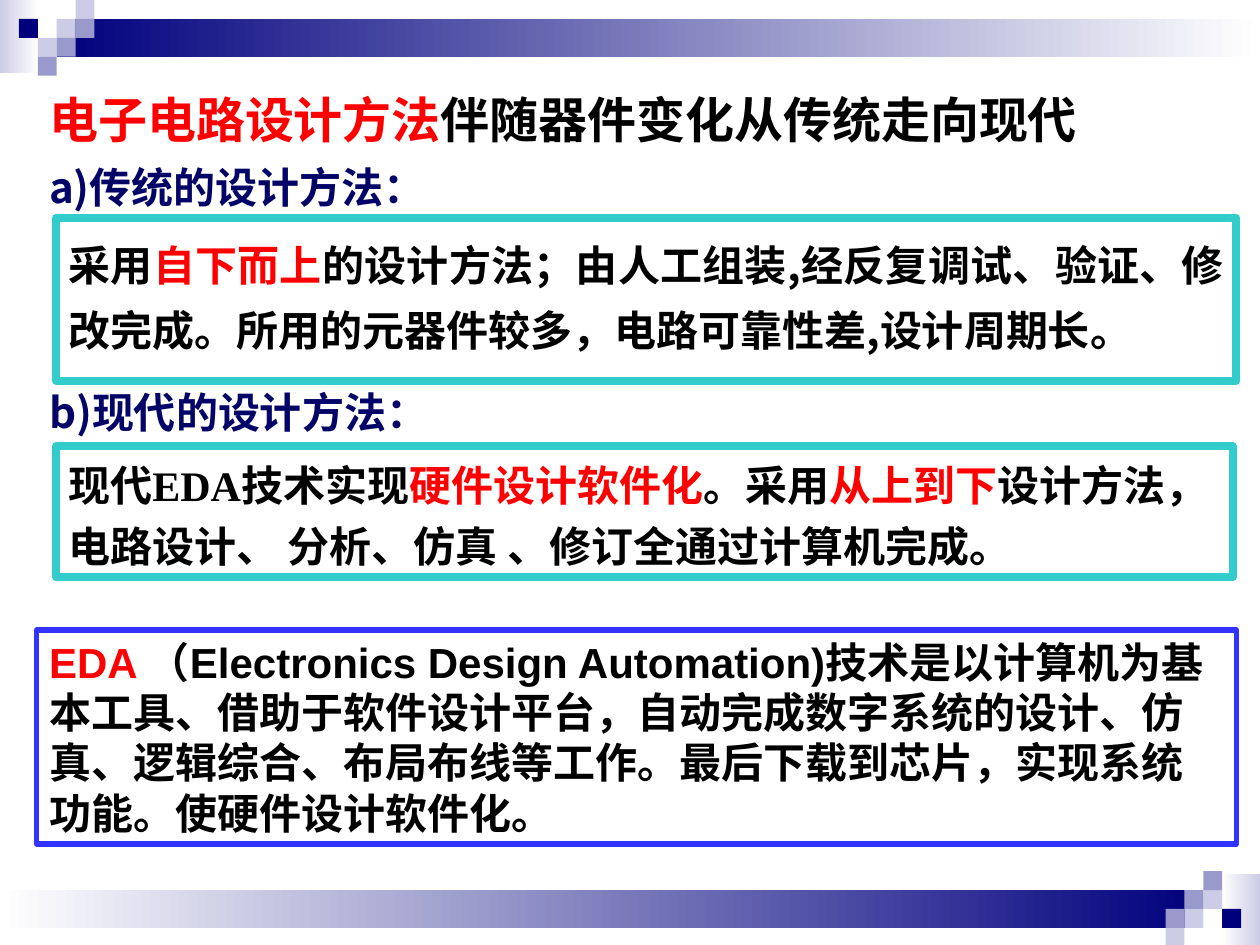
from lxml import etree
from pptx import Presentation
from pptx.dml.color import RGBColor
from pptx.enum.shapes import MSO_SHAPE
from pptx.enum.text import MSO_ANCHOR, PP_ALIGN
from pptx.oxml.ns import qn
from pptx.util import Pt

RECTANGLE = MSO_SHAPE.RECTANGLE
TOP = MSO_ANCHOR.TOP
LEFT, JUSTIFY = PP_ALIGN.LEFT, PP_ALIGN.JUSTIFY

SLIDE_W, SLIDE_H = 720, 540
CELL = 10.8  # side of a corner square
CJK, SERIF, SANS = "Noto Sans CJK SC", "Times New Roman", "Arial"
BLACK, RED, NAVY, WHITE = "000000", "FF0000", "00007D", "FFFFFF"
HEADING, TEAL, BLUE = "040468", "33CCCC", "3333FF"
PALE, LILAC = "CCCCE6", "9999CC"

# Corner squares as column, row, colour
SQUARES = [(3, 1, PALE), (4, 0, PALE), (4, 1, LILAC), (2, 2, PALE),
           (1, 1, NAVY), (3, 2, LILAC), (2, 3, LILAC)]


def rgb(value):
    return RGBColor.from_string(value)


def add_rectangle(slide, left, top, width, height):
    rectangle = slide.shapes.add_shape(
        RECTANGLE, Pt(left), Pt(top), Pt(width), Pt(height))
    rectangle.shadow.inherit = False
    return rectangle


def add_ornament(slide, box, colours, turned):
    """Borderless block; when turned, it sits half a turn round the slide."""
    left, top, width, height = box
    if turned:
        left, top = SLIDE_W - left - width, SLIDE_H + 1 - top - height
    block = add_rectangle(slide, left, top, width, height)
    block.line.fill.background()
    block.rotation = 180 if turned else 0
    if len(colours) == 1:
        block.fill.solid()
        block.fill.fore_color.rgb = rgb(colours[0])
        return
    block.fill.gradient()
    block.fill.gradient_angle = 0
    for stop, colour in zip(block.fill.gradient_stops, colours):
        stop.color.rgb = rgb(colour)


def add_corner(slide, turned):
    add_ornament(slide, (0, 0, 22, 41.5), (PALE, WHITE), turned)
    add_ornament(slide, (32.4, 10.8, 687.6, 21.6), (NAVY, WHITE), turned)
    for column, row, colour in SQUARES:
        add_ornament(slide, (column * CELL, row * CELL, CELL, CELL),
                     (colour,), turned)


def add_frame(slide, left, top, width, height, colour, weight):
    frame = add_rectangle(slide, left, top, width, height)
    frame.fill.background()
    frame.line.color.rgb = rgb(colour)
    frame.line.width = Pt(weight)
    return frame


def write(shape, runs, size=24, spacing=None, align=LEFT):
    """Fill a shape with one bold paragraph of (text, colour, font) runs."""
    text_frame = shape.text_frame
    text_frame.word_wrap = True
    text_frame.vertical_anchor = TOP
    paragraph = text_frame.paragraphs[0]
    paragraph.alignment = align
    paragraph.line_spacing = spacing
    paragraph.font.size = Pt(size)
    paragraph.font.bold = True
    for text, colour, latin in runs:
        run = paragraph.add_run()
        run.text = text
        run.font.size = Pt(size)
        run.font.bold = True
        run.font.color.rgb = rgb(colour)
        run.font.name = latin
        east_asian = etree.SubElement(run.font._element, qn("a:ea"))
        east_asian.set("typeface", CJK)


def add_text(slide, left, top, width, height, runs, **style):
    box = slide.shapes.add_textbox(Pt(left), Pt(top), Pt(width), Pt(height))
    write(box, runs, **style)


def add_title(slide, runs):
    title = slide.shapes.title
    title.left, title.top = Pt(21), Pt(47.5)
    title.width, title.height = Pt(651.6), Pt(41)
    write(title, runs, size=28)


def main():
    prs = Presentation()
    prs.slide_width, prs.slide_height = Pt(SLIDE_W), Pt(SLIDE_H)
    slide = prs.slides.add_slide(prs.slide_layouts[5])

    # Corner ornaments and bars
    for turned in (False, True):
        add_corner(slide, turned)

    add_title(slide, [("电子电路设计方法", RED, CJK),
                      ("伴随器件变化从传统走向现代", BLACK, CJK)])

    # Section headings
    for top, heading in ((88.5, "a)传统的设计方法："),
                         (217.5, "b)现代的设计方法：")):
        add_text(slide, 21, top, 272, 36, [(heading, HEADING, CJK)])

    # Traditional method
    add_text(slide, 32, 124.5, 674.6, 82, [
        ("采用", BLACK, CJK),
        ("自下而上", RED, CJK),
        ("的设计方法；由人工组装,经反复调试、验证、修改完成。"
         "所用的元器件较多，电路可靠性差,设计周期长。", BLACK, CJK),
    ], spacing=1.3, align=JUSTIFY)
    add_frame(slide, 32, 124.5, 674.6, 93, TEAL, 4.5)

    # Modern method
    add_text(slide, 32, 253.5, 674.6, 76, [
        ("现代EDA", BLACK, SERIF),
        ("技术实现", BLACK, CJK),
        ("硬件设计软件化", RED, CJK),
        ("。采用", BLACK, CJK),
        ("从上到下", RED, CJK),
        ("设计方法，电路设计、 分析、仿真 、修订全通过计算机完成。", BLACK, CJK),
    ], spacing=1.2)
    add_frame(slide, 32, 255, 672.5, 75, TEAL, 4.5)

    # Definition of EDA
    definition = add_frame(slide, 21, 360, 685.4, 122.4, BLUE, 3)
    write(definition, [
        ("EDA ", RED, SANS),
        ("（Electronics Design Automation)技术是以计算机为基本工具、"
         "借助于软件设计平台，自动完成数字系统的设计、仿真、逻辑综合、"
         "布局布线等工作。最后下载到芯片，实现系统功能。使硬件设计软件化。",
         BLACK, SANS),
    ])

    prs.save("out.pptx")


if __name__ == "__main__":
    main()
